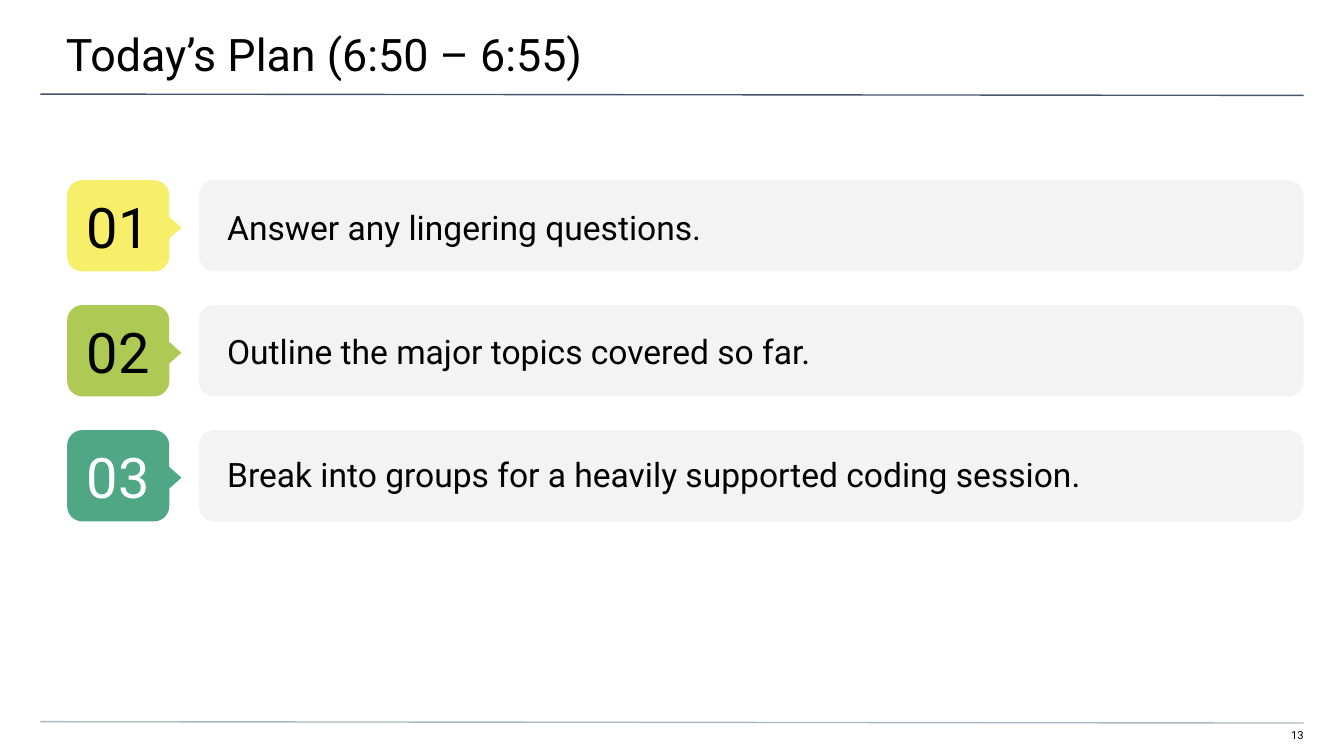
import pptx
import pptx.util
import pptx.dml.color
import pptx.enum.shapes
import pptx.enum.text
import pptx.oxml.ns
import lxml.etree

Inches, Pt = pptx.util.Inches, pptx.util.Pt
SHAPE = pptx.enum.shapes.MSO_SHAPE
ALIGN = pptx.enum.text.PP_ALIGN
ANCHOR = pptx.enum.text.MSO_ANCHOR

COLOURS = {
    "black": "000000", "white": "FFFFFF", "bar": "F3F3F3",
    "yellow": "F7EF6A", "lime": "AFCA54", "green": "4FA786",
    "title rule": "44546A", "footer rule": "A9B7C0",
}
TITLE = "Today’s Plan (6:50 – 6:55)"
PAGE_NUMBER = "13"
PLAN = [  # number, badge colour, number colour, step
    ("01", "yellow", "black", "Answer any lingering questions."),
    ("02", "lime", "black", "Outline the major topics covered so far."),
    ("03", "green", "white", "Break into groups for a heavily supported coding session."),
]
RULES = [("title rule", 0.7), ("footer rule", 5.37)]

WIDTH = 10
HEIGHT = WIDTH * 9 / 16
RULE_LEFT, RIGHT = 0.3, 9.7
FIRST_ROW, ROW_STEP, ROW_HEIGHT = 1.34, 0.93, 0.68
BADGE_LEFT, BADGE_WIDTH = 0.5, 0.76
BAR_LEFT = 1.48
POINTER_LEFT, POINTER_DROP, POINTER_WIDTH, POINTER_HEIGHT = 1.06, 0.25, 0.37, 0.21
TEXT_LEFT, TEXT_WIDTH = -0.01, 10.03
FIRST_TEXT, TEXT_STEP, TEXT_HEIGHT = 1.36, 0.92, 0.66


def colour(name):
    return pptx.dml.color.RGBColor.from_string(COLOURS[name])


def write(box, text, size, ink="black", align=ALIGN.LEFT, anchor=ANCHOR.TOP, insets=(0, 0, 0, 0)):
    """Fill a shape with one run; insets are left, top, right, bottom."""
    frame = box.text_frame
    frame.word_wrap = True
    frame.auto_size = pptx.enum.text.MSO_AUTO_SIZE.NONE
    frame.vertical_anchor = anchor
    (frame.margin_left, frame.margin_top,
     frame.margin_right, frame.margin_bottom) = map(Inches, insets)
    paragraph = frame.paragraphs[0]
    paragraph.alignment = align
    run = paragraph.add_run()
    run.text = text
    run.font.name = "Roboto"
    run.font.size = Pt(size)
    run.font.color.rgb = colour(ink)


def add_block(kind, left, top, width, height, fill):
    block = slide.shapes.add_shape(kind, *map(Inches, (left, top, width, height)))
    block.shadow.inherit = False
    block.fill.solid()
    block.fill.fore_color.rgb = colour(fill)
    block.line.fill.background()
    return block


def add_rule(name, top):
    rule = slide.shapes.add_connector(
        pptx.enum.shapes.MSO_CONNECTOR.STRAIGHT,
        *map(Inches, (RULE_LEFT, top, RIGHT, top + 0.01)))
    rule.line.color.rgb = colour(name)
    rule.line.width = Pt(0.75)
    lxml.etree.SubElement(rule._element.spPr, pptx.oxml.ns.qn("a:effectLst"))


def add_step(row, number, badge_colour, ink, step):
    top = FIRST_ROW + row * ROW_STEP
    bar = add_block(SHAPE.ROUNDED_RECTANGLE, BAR_LEFT, top, RIGHT - BAR_LEFT, ROW_HEIGHT, "bar")
    badge = add_block(SHAPE.ROUNDED_RECTANGLE, BADGE_LEFT, top, BADGE_WIDTH, ROW_HEIGHT, badge_colour)
    for rounded in (bar, badge):
        rounded.adjustments[0] = 0.167
    write(badge, number, 30, ink, ALIGN.CENTER, ANCHOR.MIDDLE, (0.1, 0.1, 0.1, 0.1))
    pointer = add_block(SHAPE.FLOWCHART_EXTRACT, POINTER_LEFT, top + POINTER_DROP,
                        POINTER_WIDTH, POINTER_HEIGHT, badge_colour)
    pointer.rotation = 90
    step_box = slide.shapes.add_textbox(
        *map(Inches, (TEXT_LEFT, FIRST_TEXT + row * TEXT_STEP, TEXT_WIDTH, TEXT_HEIGHT)))
    write(step_box, step, 18, anchor=ANCHOR.MIDDLE, insets=(1.7, 0, 0.5, 0))


deck = pptx.Presentation()
deck.slide_width, deck.slide_height = Inches(WIDTH), Inches(HEIGHT)
slide = deck.slides.add_slide(deck.slide_layouts[5])

page_box = slide.shapes.add_textbox(*map(Inches, (RIGHT - 0.29, 5.42, 0.29, 0.12)))
write(page_box, PAGE_NUMBER, 6, align=ALIGN.RIGHT, insets=(0, 0, 0, 0.1))
for name, top in RULES:
    add_rule(name, top)

heading = slide.shapes.title
heading.left, heading.top, heading.width, heading.height = map(
    Inches, (TEXT_LEFT, 0, TEXT_WIDTH, 0.58))
write(heading, TITLE, 24, insets=(0.5, 0.2, 0.3, 0.1))

for row, entry in enumerate(PLAN):
    add_step(row, *entry)

deck.save("out.pptx")
